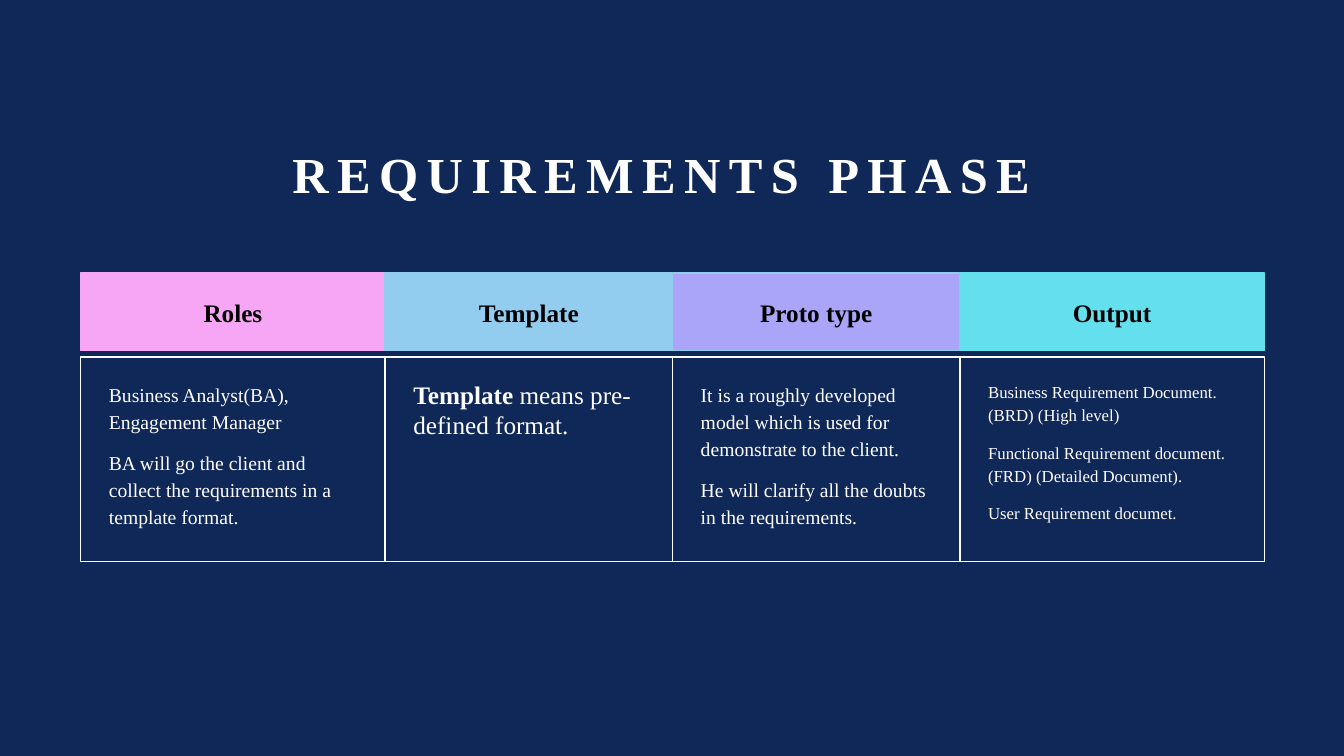
from pptx import Presentation
from pptx.dml.color import RGBColor
from pptx.enum.shapes import MSO_SHAPE as SHAPE
from pptx.enum.text import MSO_ANCHOR as ANCHOR, PP_ALIGN as ALIGN
from pptx.util import Inches, Pt

FONT = "Times New Roman"
NAVY, WHITE, BLACK = "102857", "FFFFFF", "000000"
HEADER_TOP, HEADER_HEIGHT = 2.71, 0.77
BODY_TOP, BODY_HEIGHT = 3.54, 2.03
BODY_INSETS = {"margin_left": 0.28, "margin_top": 0.22, "margin_right": 0.3, "margin_bottom": 0.05}
SPACED = {"line_spacing": 1.15, "space_after": Pt(10)}


def rgb(value):
    return RGBColor.from_string(value)


def add_text(paragraph, text, size, color, bold=False):
    run = paragraph.add_run()
    run.text = text
    run.font.color.rgb = rgb(color)
    for attribute, value in {"name": FONT, "size": Pt(size), "bold": bold}.items():
        setattr(run.font, attribute, value)
    return run


# heading, left, width, fill, line, body size, paragraph format, paragraphs of (text, bold) runs
columns = [
    ("Roles", 0.8, 3.02, "F6A6F4", "F6A6F4", 14, SPACED, [
        [("Business Analyst(BA), Engagement Manager", False)],
        [("BA will go the client and collect the requirements in a template format.", False)],
    ]),
    ("Template", 3.82, 2.85, "92CDF0", "92CDF0", 18, {}, [
        [("Template ", True), ("means pre-defined format.", False)],
    ]),
    ("Proto type", 6.67, 2.85, "AAA5F9", "92CDF0", 14, SPACED, [
        [("It is a roughly developed model which is used for demonstrate to the client.", False)],
        [("He will clarify all the doubts in the requirements.", False)],
    ]),
    ("Output", 9.52, 3.02, "64DFED", "64DFED", 12, SPACED, [
        [("Business Requirement Document.(BRD) (High level)", False)],
        [("Functional Requirement document.(FRD) (Detailed Document).", False)],
        [("User Requirement documet.", False)],
    ]),
]

prs = Presentation()
prs.slide_width, prs.slide_height = Inches(13.33), Inches(7.5)
slide = prs.slides.add_slide(prs.slide_layouts[6])
slide.background.fill.solid()
slide.background.fill.fore_color.rgb = rgb(NAVY)

title = slide.shapes.add_textbox(Inches(1.81), Inches(0.91), Inches(9.71), Inches(1.17)).text_frame
title.word_wrap = True
title.vertical_anchor = ANCHOR.BOTTOM
title_line = title.paragraphs[0]
title_line.alignment = ALIGN.CENTER
title_line.line_spacing = 0.9
title_run = add_text(title_line, "REQUIREMENTS PHASE ", 36, WHITE, bold=True)
title_run.font._element.set("spc", "600")

for heading, left, width, fill, line, size, spacing, paragraphs in columns:
    header = slide.shapes.add_shape(
        SHAPE.RECTANGLE, Inches(left), Inches(HEADER_TOP), Inches(width), Inches(HEADER_HEIGHT))
    header.fill.solid()
    header.fill.fore_color.rgb = rgb(fill)
    header.text_frame.vertical_anchor = ANCHOR.MIDDLE
    header.text_frame.paragraphs[0].alignment = ALIGN.CENTER
    add_text(header.text_frame.paragraphs[0], heading, 18, BLACK, bold=True)

    body = slide.shapes.add_shape(
        SHAPE.RECTANGLE, Inches(left), Inches(BODY_TOP), Inches(width), Inches(BODY_HEIGHT))
    body.fill.background()
    frame = body.text_frame
    frame.vertical_anchor = ANCHOR.TOP
    for side, inset in BODY_INSETS.items():
        setattr(frame, side, Inches(inset))
    for index, runs in enumerate(paragraphs):
        paragraph = frame.add_paragraph() if index else frame.paragraphs[0]
        paragraph.alignment = ALIGN.LEFT
        for attribute, value in spacing.items():
            setattr(paragraph, attribute, value)
        for text, bold in runs:
            add_text(paragraph, text, size, WHITE, bold)

    for cell, outline in ((header, line), (body, WHITE)):
        cell.shadow.inherit = False
        cell.line.color.rgb = rgb(outline)
        cell.line.width = Pt(1)
        cell.text_frame.word_wrap = True

prs.save("out.pptx")
